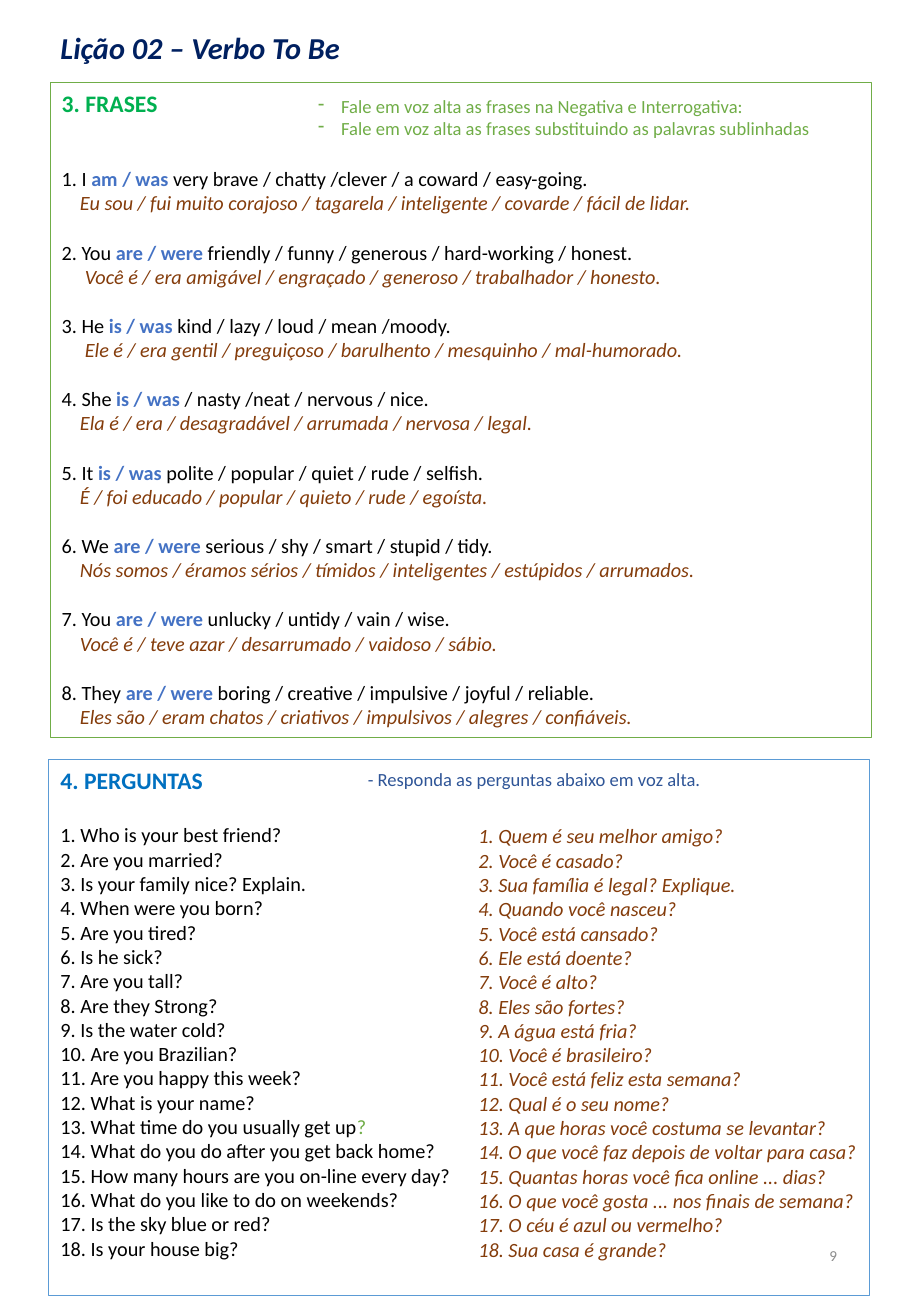
from pptx import Presentation
from pptx.dml.color import RGBColor as RGB
from pptx.enum.shapes import MSO_SHAPE
from pptx.enum.text import MSO_ANCHOR, MSO_AUTO_SIZE as AUTO, PP_ALIGN
from pptx.util import Inches, Pt
from lxml import etree

BLACK = RGB(0x00, 0x00, 0x00)
BROWN = RGB(0x84, 0x3C, 0x0B)
VERB_BLUE = RGB(0x44, 0x72, 0xC4)
GREEN = RGB(0x70, 0xAD, 0x47)
HEAD_GREEN = RGB(0x00, 0xB0, 0x50)
LINE_BLUE = RGB(0x5B, 0x9B, 0xD5)
HEAD_BLUE = RGB(0x00, 0x70, 0xC0)
NOTE_BLUE = RGB(0x2F, 0x55, 0x97)
NAVY = RGB(0x00, 0x20, 0x60)
GREY = RGB(0x8C, 0x8C, 0x8C)
LINE_12 = 14.65
LINE_14 = 17.1
A_NS = "http://schemas.openxmlformats.org/drawingml/2006/main"

SENTENCES = [
    ("I", "am / was", "very brave / chatty /clever / a coward / easy-going.",
     "Eu sou / fui muito corajoso / tagarela / inteligente / covarde / fácil de lidar.", 0.15),
    ("You", "are / were", "friendly / funny / generous / hard-working / honest.",
     "Você é / era amigável / engraçado / generoso / trabalhador / honesto.", 0.19),
    ("He", "is / was", "kind / lazy / loud / mean /moody.",
     "Ele é / era gentil / preguiçoso / barulhento / mesquinho / mal-humorado.", 0.19),
    ("She", "is / was", "/ nasty /neat / nervous / nice.",
     "Ela é / era / desagradável / arrumada / nervosa / legal.", 0.15),
    ("It", "is / was", "polite / popular / quiet / rude / selfish.",
     "É / foi educado / popular / quieto / rude / egoísta.", 0.15),
    ("We", "are / were", "serious / shy / smart / stupid / tidy.",
     "Nós somos / éramos sérios / tímidos / inteligentes / estúpidos / arrumados.", 0.15),
    ("You", "are / were", "unlucky / untidy / vain / wise.",
     "Você é / teve azar / desarrumado / vaidoso / sábio.", 0.15),
    ("They", "are / were", "boring / creative / impulsive / joyful / reliable.",
     "Eles são / eram chatos / criativos / impulsivos / alegres / confiáveis.", 0.15),
]

QUESTIONS = [
    ("Who is your best friend?", "Quem é seu melhor amigo?"),
    ("Are you married?", "Você é casado?"),
    ("Is your family nice? Explain.", "Sua família é legal? Explique."),
    ("When were you born?", "Quando você nasceu?"),
    ("Are you tired?", "Você está cansado?"),
    ("Is he sick?", "Ele está doente?"),
    ("Are you tall?", "Você é alto?"),
    ("Are they Strong?", "Eles são fortes?"),
    ("Is the water cold?", "A água está fria?"),
    ("Are you Brazilian?", "Você é brasileiro?"),
    ("Are you happy this week?", "Você está feliz esta semana?"),
    ("What is your name?", "Qual é o seu nome?"),
    ("What time do you usually get up", "A que horas você costuma se levantar?"),
    ("What do you do after you get back home?", "O que você faz depois de voltar para casa?"),
    ("How many hours are you on-line every day?", "Quantas horas você fica online ... dias?"),
    ("What do you like to do on weekends?", "O que você gosta ... nos finais de semana?"),
    ("Is the sky blue or red?", "O céu é azul ou vermelho?"),
    ("Is your house big?", "Sua casa é grande?"),
]


def write(p, text, size=12, color=BLACK, bold=False, italic=False):
    r = p.add_run()
    r.text = text
    r.font.name = "Calibri"
    r.font.size = Pt(size)
    r.font.color.rgb = color
    r.font.bold = bold
    r.font.italic = italic


def text_box(left, top, width, height, wrap=False):
    tf = s.shapes.add_textbox(Inches(left), Inches(top), Inches(width), Inches(height)).text_frame
    tf.word_wrap = wrap
    tf.auto_size = AUTO.NONE if wrap else AUTO.SHAPE_TO_FIT_TEXT
    return tf


prs = Presentation()
prs.slide_width = Inches(7.5)
prs.slide_height = Inches(10.83)
s = prs.slides.add_slide(prs.slide_layouts[6])

number = text_box(5.3, 10.04, 1.69, 0.58, wrap=True)
number.vertical_anchor = MSO_ANCHOR.MIDDLE
number.paragraphs[0].alignment = PP_ALIGN.RIGHT
write(number.paragraphs[0], "9", size=9, color=GREY)

title = text_box(0.4, 0.17, 2.53, 0.43).paragraphs[0]
title.line_spacing = 1.07
write(title, "Lição 02 – Verbo To Be", size=18, color=NAVY, bold=True, italic=True)

panels = []
for left, top, height, line, heading, color in [
    (0.41, 0.68, 5.39, GREEN, "3. FRASES", HEAD_GREEN),
    (0.4, 6.25, 4.41, LINE_BLUE, "4. PERGUNTAS", HEAD_BLUE),
]:
    sp = s.shapes.add_shape(MSO_SHAPE.RECTANGLE, Inches(left), Inches(top), Inches(6.76), Inches(height))
    sp.shadow.inherit = False
    sp.fill.background()
    sp.line.color.rgb = line
    sp.line.width = Pt(0.25)
    tf = sp.text_frame
    tf.word_wrap = True
    tf.vertical_anchor = MSO_ANCHOR.TOP
    tf.paragraphs[0].alignment = PP_ALIGN.LEFT
    write(tf.paragraphs[0], heading, size=14, color=color, bold=True)
    panels.append(tf)
phrases, questions = panels

for n, (subject, verb, rest, translation, indent) in enumerate(SENTENCES, 1):
    p = phrases.add_paragraph()
    p.alignment = PP_ALIGN.LEFT
    p.space_before = Pt(2 * LINE_12 if n == 1 else LINE_12)
    write(p, f"{n}. {subject} ")
    write(p, verb, color=VERB_BLUE, bold=True)
    write(p, f" {rest}")
    p = phrases.add_paragraph()
    p.alignment = PP_ALIGN.LEFT
    p._p.get_or_add_pPr().set("marL", str(Inches(indent)))
    write(p, translation, color=BROWN, italic=True)

tips = text_box(2.52, 0.73, 4.28, 0.47)
for i, tip in enumerate([
    "Fale em voz alta as frases na Negativa e Interrogativa:",
    "Fale em voz alta as frases substituindo as palavras sublinhadas",
]):
    p = tips.add_paragraph() if i else tips.paragraphs[0]
    pPr = p._p.get_or_add_pPr()
    pPr.set("marL", str(Inches(0.19)))
    pPr.set("indent", str(-Inches(0.19)))
    etree.SubElement(pPr, f"{{{A_NS}}}buChar").set("char", "-")
    write(p, tip, size=11, color=GREEN)

note = text_box(2.93, 6.27, 2.97, 0.29)
write(note.paragraphs[0], "- Responda as perguntas abaixo em voz alta.", size=11, color=NOTE_BLUE)

answers = text_box(3.84, 6.73, 3.33, 3.74, wrap=True)
for n, (english, portuguese) in enumerate(QUESTIONS, 1):
    p = questions.add_paragraph()
    p.alignment = PP_ALIGN.LEFT
    if n == 1:
        p.space_before = Pt(LINE_14)
    write(p, f"{n}. {english}")
    if not english.endswith(("?", ".")):
        write(p, "?", color=GREEN)
    p = answers.paragraphs[0] if n == 1 else answers.add_paragraph()
    write(p, f"{n}. {portuguese}", color=BROWN, italic=True)

prs.save("out.pptx")
